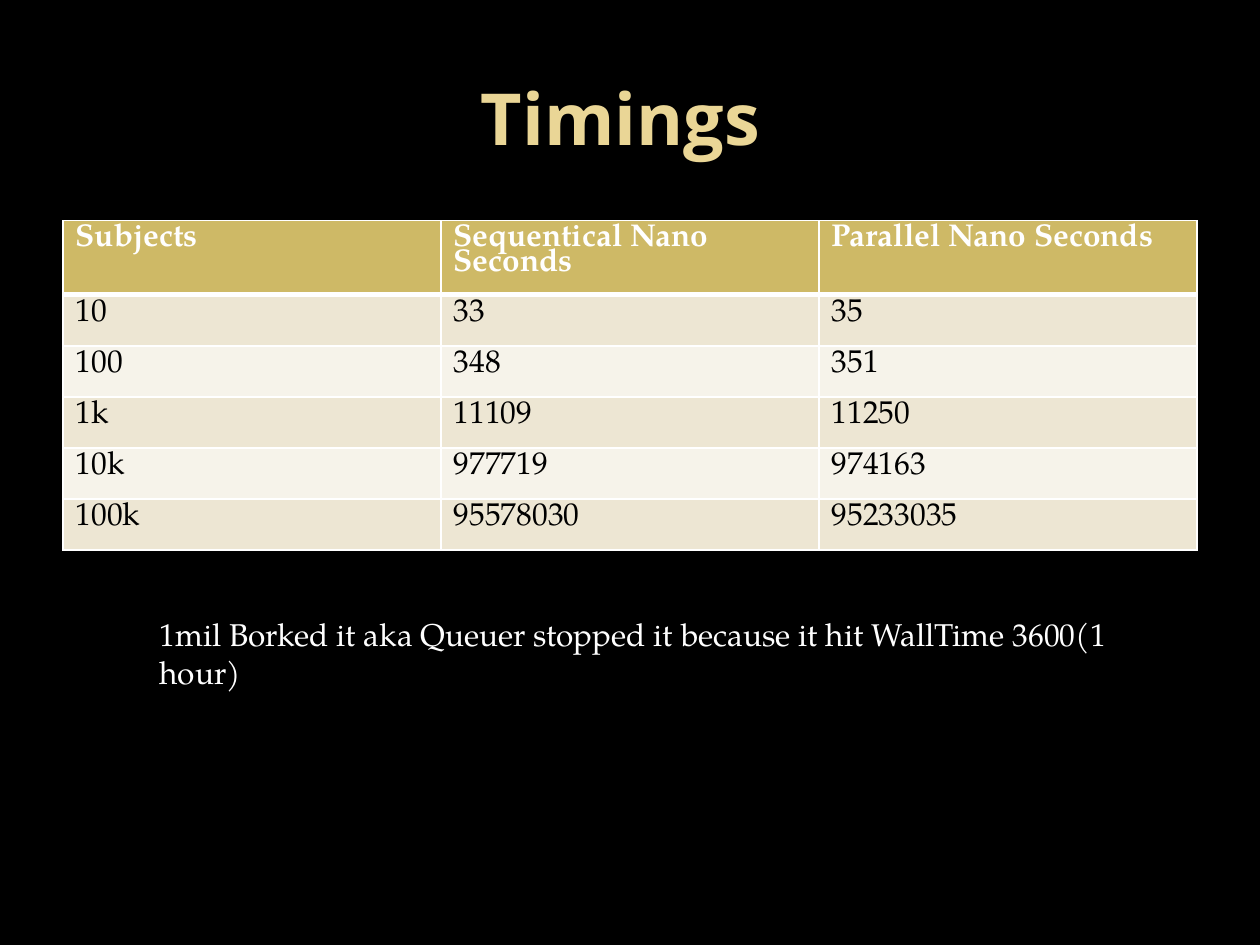
"""Build the Timings slide with its table of run times."""
from lxml import etree
from pptx import Presentation
from pptx import util as u
from pptx.dml.color import RGBColor
from pptx.enum import text
from pptx.oxml.ns import qn

COLORS = {"background": "000000", "title": "EAD696", "header": "CEB966",
          "odd": "EDE6D3", "even": "F6F3EA", "light": "FFFFFF", "dark": "000000"}
BODY_FONT = "TeX Gyre Pagella"
TIMINGS = [
    ("Subjects", "Sequentical Nano Seconds", "Parallel Nano Seconds"),
    ("10", "33", "35"),
    ("100", "348", "351"),
    ("1k", "11109", "11250"),
    ("10k", "977719", "974163"),
    ("100k", "95578030", "95233035"),
]


def format_text(paragraph, font_name, size, color, bold=False):
    """Format every run of a paragraph."""
    for run in paragraph.runs:
        run.font.name = font_name
        run.font.size = u.Pt(size)
        run.font.bold = bold
        run.font.color.rgb = RGBColor.from_string(COLORS[color])


def add_border(cell, side, width):
    """Append one solid white border to a cell without a fill."""
    line = etree.SubElement(cell._tc.get_or_add_tcPr(), qn(f"a:ln{side}"), w=str(u.Pt(width)))
    fill = etree.SubElement(line, qn("a:solidFill"))
    etree.SubElement(fill, qn("a:srgbClr"), val=COLORS["light"])


presentation = Presentation()
presentation.slide_width = u.Cm(25.4)
presentation.slide_height = u.Cm(19.05)
slide = presentation.slides.add_slide(presentation.slide_layouts[5])
slide.background.fill.solid()
slide.background.fill.fore_color.rgb = RGBColor.from_string(COLORS["background"])

title = slide.shapes.title
title.left, title.top, title.width, title.height = u.Cm(1.27), u.Cm(0.76), u.Cm(22.86), u.Cm(3.18)
title.text_frame.text = "Timings "
title.text_frame.vertical_anchor = text.MSO_ANCHOR.MIDDLE
title.text_frame.paragraphs[0].alignment = text.PP_ALIGN.CENTER
format_text(title.text_frame.paragraphs[0], "Open Sans", 41, "title", True)

table = slide.shapes.add_table(len(TIMINGS), 3, u.Cm(1.27), u.Cm(4.45), u.Cm(22.86), u.Cm(6.18)).table
for row_index, row in enumerate(TIMINGS):
    table.rows[row_index].height = u.Cm(1.03 if row_index else 1.49)
    is_header = row_index == 0
    fill_color = "header" if is_header else "odd" if row_index % 2 else "even"
    for column_index, value in enumerate(row):
        cell = table.cell(row_index, column_index)
        cell.text_frame.text = value
        paragraph = cell.text_frame.paragraphs[0]
        paragraph.line_spacing = 0.8
        format_text(paragraph, BODY_FONT, 18, "light" if is_header else "dark", is_header)
        for side in "LRTB":
            thick = (is_header and side == "B") or (row_index == 1 and side == "T")
            add_border(cell, side, 3 if thick else 1)
        cell.fill.solid()
        cell.fill.fore_color.rgb = RGBColor.from_string(COLORS[fill_color])

note = slide.shapes.add_textbox(u.Cm(2.97), u.Cm(12.27), u.Cm(20.32), u.Cm(1.02))
note.text_frame.word_wrap = True
note.text_frame.auto_size = text.MSO_AUTO_SIZE.SHAPE_TO_FIT_TEXT
note.text_frame.text = "1mil Borked it aka Queuer stopped it because it hit WallTime 3600(1 hour)"
format_text(note.text_frame.paragraphs[0], BODY_FONT, 18, "light")

presentation.save("out.pptx")
